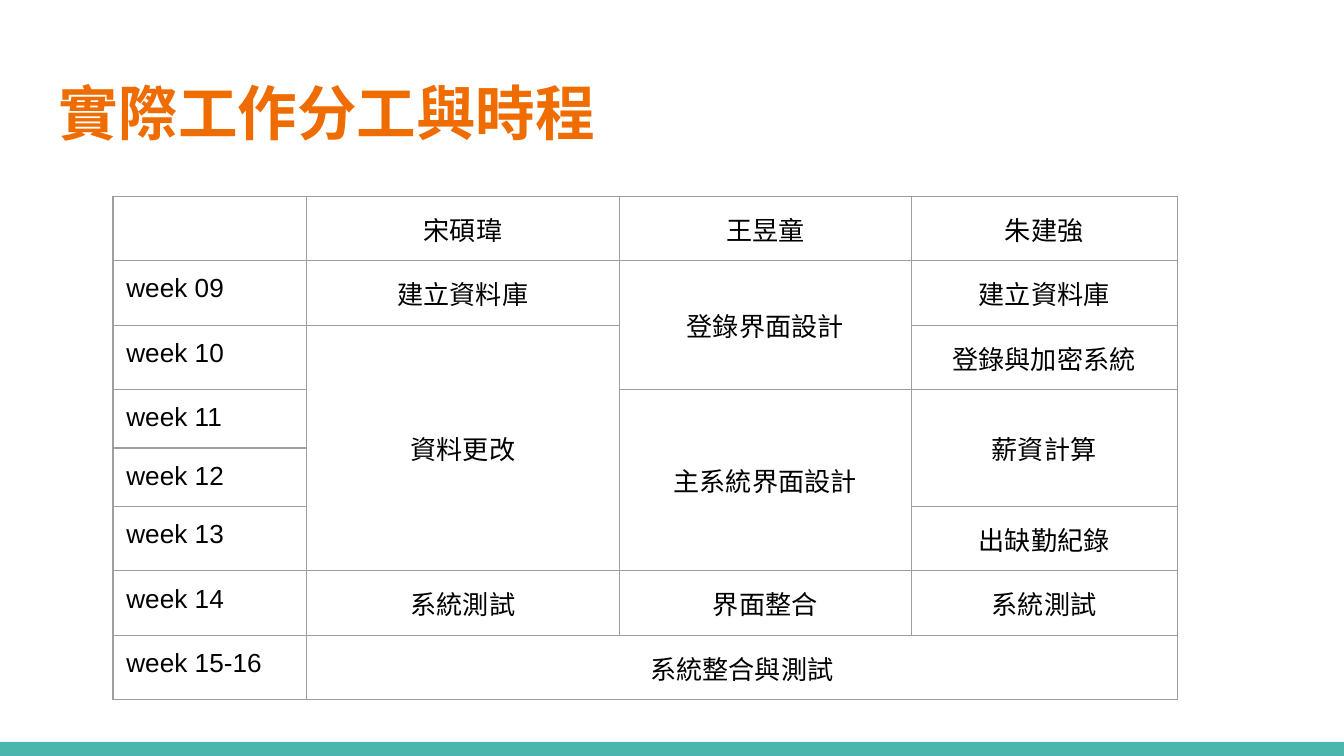
from dataclasses import dataclass

from lxml import etree
from pptx import Presentation
from pptx import util as u
from pptx.dml.color import RGBColor
from pptx.enum import shapes, text
from pptx.oxml.ns import qn

COLORS = {"title": "EF6C00", "bar": "4DB6AC", "text": "000000", "border": "9E9E9E"}
COLUMN_WIDTHS = [1.44, 2.33, 2.17, 1.98]
TALL, SHORT = 0.48, 0.42
ROW_HEIGHTS = [TALL] * 3 + [SHORT] * 2 + [TALL] * 3
WEEKS = ["09", "10", "11", "12", "13", "14", "15-16"]
TABLE_SIZE = u.Pt(14)


@dataclass
class Task:
    row: int
    column: int
    label: str
    rows: int = 1
    columns: int = 1
    middle: bool = False


TASKS = [
    Task(0, 1, "宋碩瑋"),
    Task(0, 2, "王昱童"),
    Task(0, 3, "朱建強"),
    Task(1, 1, "建立資料庫"),
    Task(1, 2, "登錄界面設計", rows=2, middle=True),
    Task(1, 3, "建立資料庫"),
    Task(2, 1, "資料更改", rows=4, middle=True),
    Task(2, 3, "登錄與加密系統"),
    Task(3, 2, "主系統界面設計", rows=3, middle=True),
    Task(3, 3, "薪資計算", rows=2, middle=True),
    Task(5, 3, "出缺勤紀錄"),
    Task(6, 1, "系統測試"),
    Task(6, 2, "界面整合", middle=True),
    Task(6, 3, "系統測試"),
    Task(7, 1, "系統整合與測試", columns=3),
]


def add_run(paragraph, content: str, size, font: str, color: str, bold: bool = False) -> None:
    run = paragraph.add_run()
    run.text = content
    run.font.size, run.font.name, run.font.bold = size, font, bold
    run.font.color.rgb = RGBColor.from_string(COLORS[color])


def set_margins(target) -> None:
    target.margin_left = target.margin_right = u.Inches(0.1)
    target.margin_top = target.margin_bottom = u.Inches(0.1)


def format_cell(cell) -> None:
    """Give a cell its margins, grey border and empty-line text size."""
    set_margins(cell)
    cell.fill.background()
    properties = cell._tc.get_or_add_tcPr()
    for index, side in enumerate(("lnL", "lnR", "lnT", "lnB")):
        line = etree.Element(qn(f"a:{side}"), w=str(u.Pt(0.75)))
        fill = etree.SubElement(line, qn("a:solidFill"))
        etree.SubElement(fill, qn("a:srgbClr"), val=COLORS["border"])
        properties.insert(index, line)
    end = etree.SubElement(cell.text_frame.paragraphs[0]._p, qn("a:endParaRPr"))
    end.set("sz", str(int(TABLE_SIZE.pt * 100)))


def add_task(table, task: Task) -> None:
    cell = table.cell(task.row, task.column)
    if task.rows > 1 or task.columns > 1:
        cell.merge(table.cell(task.row + task.rows - 1, task.column + task.columns - 1))
    if task.middle:
        cell.vertical_anchor = text.MSO_ANCHOR.MIDDLE
    paragraph = cell.text_frame.paragraphs[0]
    paragraph.alignment = text.PP_ALIGN.LEFT if task.column == 0 else text.PP_ALIGN.CENTER
    add_run(paragraph, task.label, TABLE_SIZE, "Arial", "text")


def add_schedule(slide) -> None:
    frame = slide.shapes.add_table(
        len(ROW_HEIGHTS), len(COLUMN_WIDTHS), u.Inches(0.84), u.Inches(1.46),
        u.Inches(sum(COLUMN_WIDTHS)), u.Inches(sum(ROW_HEIGHTS)))
    table = frame.table
    table.first_row = table.horz_banding = False
    for column, width in zip(table.columns, COLUMN_WIDTHS):
        column.width = u.Inches(width)
    for row, height in zip(table.rows, ROW_HEIGHTS):
        row.height = u.Inches(height)
        for cell in row.cells:
            format_cell(cell)
    week_labels = [Task(row, 0, f"week {week}") for row, week in enumerate(WEEKS, 1)]
    for task in week_labels + TASKS:
        add_task(table, task)


def add_bar(slide) -> None:
    bar = slide.shapes.add_shape(
        shapes.MSO_SHAPE.RECTANGLE, 0, u.Inches(5.52), u.Inches(10), u.Inches(0.11))
    bar.shadow.inherit = False
    bar.fill.solid()
    bar.fill.fore_color.rgb = RGBColor.from_string(COLORS["bar"])
    bar.line.fill.background()


def add_title(slide) -> None:
    box = slide.shapes.add_textbox(
        u.Inches(0.34), u.Inches(0.45), u.Inches(9.32), u.Inches(0.77))
    frame = box.text_frame
    frame.word_wrap = True
    frame.vertical_anchor = text.MSO_ANCHOR.MIDDLE
    set_margins(frame)
    add_run(frame.paragraphs[0], "實際工作分工與時程", u.Pt(31.9),
            "Roboto Condensed", "title", bold=True)


def main() -> None:
    presentation = Presentation()
    # Widescreen, 16:9
    presentation.slide_width = u.Inches(10)
    presentation.slide_height = u.Inches(10 * 9 / 16)
    slide = presentation.slides.add_slide(presentation.slide_layouts[6])
    # Bottom bar, heading, then the weekly schedule
    add_bar(slide)
    add_title(slide)
    add_schedule(slide)
    presentation.save("out.pptx")


if __name__ == "__main__":
    main()
